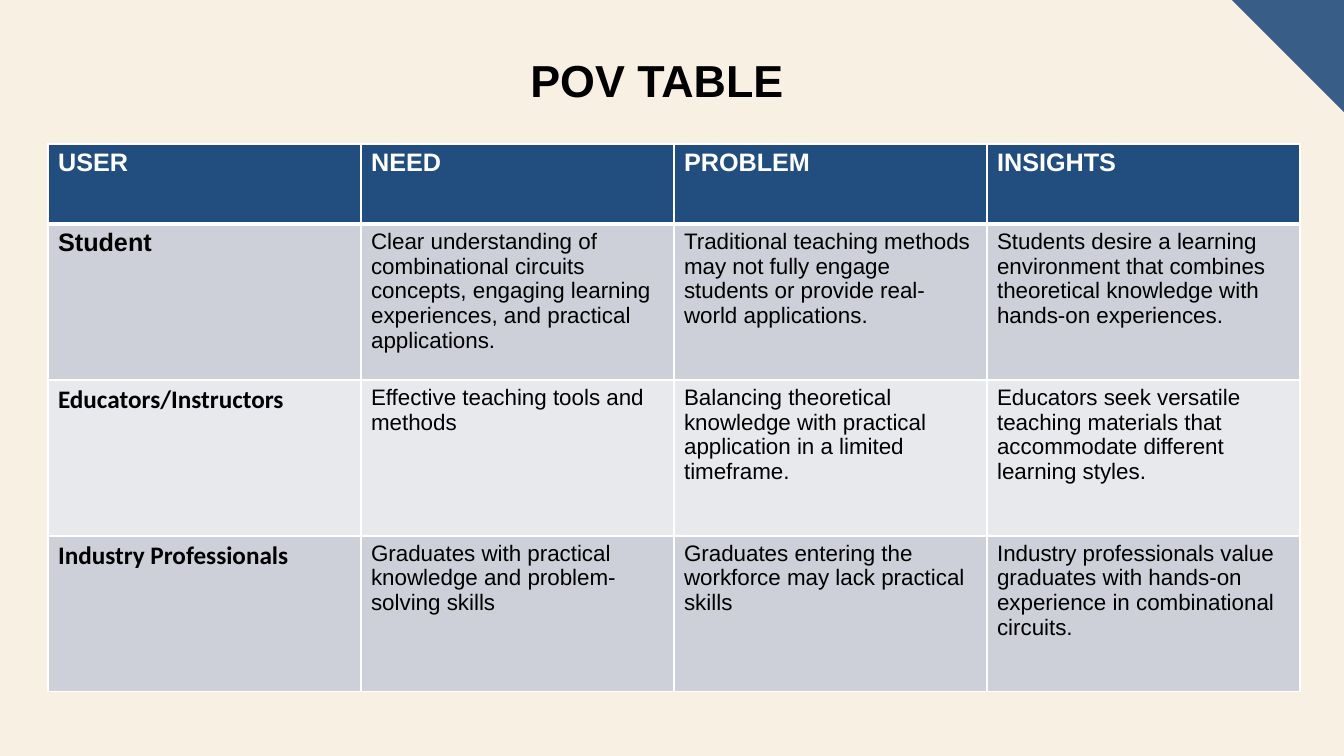
from lxml.etree import SubElement
from pptx import Presentation
from pptx.dml.color import RGBColor
from pptx.enum.text import MSO_AUTO_SIZE, PP_ALIGN
from pptx.oxml.ns import qn
from pptx.util import Emu, Pt

CREAM = RGBColor(0xF8, 0xF0, 0xE3)
CORNER_BLUE = RGBColor(0x38, 0x5E, 0x88)
HEADER_BLUE = RGBColor(0x22, 0x4E, 0x7F)
DARK_BAND = RGBColor(0xCD, 0xD0, 0xD8)
LIGHT_BAND = RGBColor(0xE8, 0xE9, 0xEC)
WHITE = RGBColor(0xFF, 0xFF, 0xFF)
BLACK = RGBColor(0x00, 0x00, 0x00)

HEADINGS = ["USER", "NEED", "PROBLEM", "INSIGHTS"]
USERS = [
    ["Student",
     "Clear understanding of combinational circuits concepts, engaging learning experiences, and practical applications.",
     "Traditional teaching methods may not fully engage students or provide real-world applications.",
     "Students desire a learning environment that combines theoretical knowledge with hands-on experiences."],
    ["Educators/Instructors",
     "Effective teaching tools and methods",
     "Balancing theoretical knowledge with practical application in a limited timeframe.",
     "Educators seek versatile teaching materials that accommodate different learning styles."],
    ["Industry Professionals",
     "Graduates with practical knowledge and problem-solving skills",
     "Graduates entering the workforce may lack practical skills",
     "Industry professionals value graduates with hands-on experience in combinational circuits."],
]
USER_FONTS = ["Arial", "Calibri", "Calibri"]


def px(length):
    return Emu(round(length * 914400 / 100.8))


class SlideBuilder:
    font_name = "Arial"

    def __init__(self, presentation):
        self.slide = presentation.slides.add_slide(presentation.slide_layouts[6])
        self.slide.background.fill.solid()
        self.slide.background.fill.fore_color.rgb = CREAM

    def style_text(self, text_frame, size, color, bold, font_name=font_name):
        for paragraph in text_frame.paragraphs:
            for run in paragraph.runs:
                run.font.name = font_name
                run.font.size = Pt(size)
                run.font.bold = bold
                run.font.color.rgb = color

    def polygon(self, points, color):
        start, *others = [(px(x), px(y)) for x, y in points]
        builder = self.slide.shapes.build_freeform(*start)
        builder.add_line_segments(others, close=True)
        shape = builder.convert_to_shape()
        shape.shadow.inherit = False
        shape.fill.solid()
        shape.fill.fore_color.rgb = color
        shape.line.fill.background()

    def title(self, text, left, top, width, height):
        shape = self.slide.shapes.add_textbox(px(left), px(top), px(width), px(height))
        text_frame = shape.text_frame
        text_frame.word_wrap = True
        text_frame.auto_size = MSO_AUTO_SIZE.SHAPE_TO_FIT_TEXT
        text_frame.text = text
        text_frame.paragraphs[0].alignment = PP_ALIGN.CENTER
        self.style_text(text_frame, 32, BLACK, True)

    def table(self, left, top, column_width, row_heights):
        width = column_width * len(HEADINGS)
        frame = self.slide.shapes.add_table(
            len(row_heights), len(HEADINGS),
            px(left), px(top), px(width), px(sum(row_heights)))
        table = frame.table
        for column in table.columns:
            column.width = px(column_width)
        for row, height in zip(table.rows, row_heights):
            row.height = px(height)
        for column, heading in enumerate(HEADINGS):
            self.cell(table.cell(0, column), heading, HEADER_BLUE, bottom=3)
            self.style_text(table.cell(0, column).text_frame, 18, WHITE, True)
        for row, (texts, user_font) in enumerate(zip(USERS, USER_FONTS), 1):
            band = DARK_BAND if row % 2 else LIGHT_BAND
            for column, text in enumerate(texts):
                cell = table.cell(row, column)
                self.cell(cell, text, band, top=3 if row == 1 else 1)
                if column == 0:
                    self.style_text(cell.text_frame, 18, BLACK, True, user_font)
                else:
                    self.style_text(cell.text_frame, 16, BLACK, False)

    def cell(self, cell, text, color, top=1, bottom=1):
        cell.text_frame.text = text
        properties = cell._tc.get_or_add_tcPr()
        for side, width in (("L", 1), ("R", 1), ("T", top), ("B", bottom)):
            border = SubElement(properties, qn(f"a:ln{side}"), w=str(Pt(width)))
            fill = SubElement(border, qn("a:solidFill"))
            SubElement(fill, qn("a:srgbClr"), val=str(WHITE))
        cell.fill.solid()
        cell.fill.fore_color.rgb = color


def main():
    presentation = Presentation()
    presentation.slide_width = px(1344)
    presentation.slide_height = px(756)
    builder = SlideBuilder(presentation)
    builder.polygon([(1232, 0), (1344, 0), (1344, 112)], CORNER_BLUE)
    builder.title("POV TABLE", 389, 48, 536, 65)
    builder.table(48, 144, 313, [80, 156, 156, 156])
    presentation.save("out.pptx")


if __name__ == "__main__":
    main()
